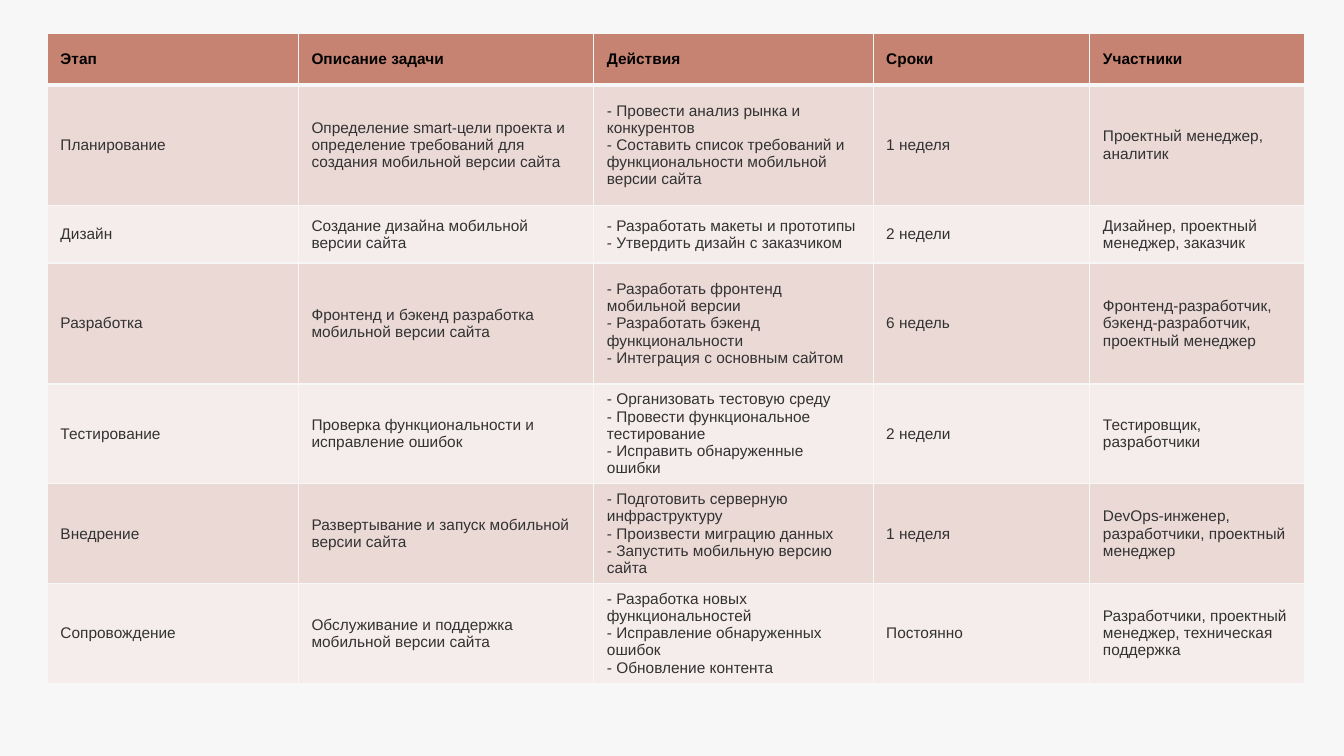
import pptx
import pptx.dml.color
import pptx.enum.text
import pptx.oxml
import pptx.oxml.ns
import pptx.util

Inches = pptx.util.Inches

PAGE, HEADER, DARK_BAND, LIGHT_BAND = "F7F7F7", "C68372", "EAD9D5", "F5EDEB"
HEADER_TEXT, BODY_TEXT = "000000", "323232"
COLUMN_WIDTHS = [2.49, 2.93, 2.77, 2.15, 2.13]
ROW_HEIGHTS = [0.51, 1.2, 0.57, 1.2, 0.99, 0.99, 0.99]

# A tuple holds the lines of one cell
PLAN = [
    ["Этап", "Описание задачи", "Действия", "Сроки", "Участники"],
    ["Планирование",
     "Определение smart-цели проекта и определение требований для создания мобильной версии сайта",
     ("- Провести анализ рынка и конкурентов",
      "- Составить список требований и функциональности мобильной версии сайта"),
     "1 неделя", "Проектный менеджер, аналитик"],
    ["Дизайн", "Создание дизайна мобильной версии сайта",
     ("- Разработать макеты и прототипы", "- Утвердить дизайн с заказчиком"),
     "2 недели", "Дизайнер, проектный менеджер, заказчик"],
    ["Разработка", "Фронтенд и бэкенд разработка мобильной версии сайта",
     ("- Разработать фронтенд мобильной версии", "- Разработать бэкенд функциональности",
      "- Интеграция с основным сайтом"),
     "6 недель", "Фронтенд-разработчик, бэкенд-разработчик, проектный менеджер"],
    ["Тестирование", "Проверка функциональности и исправление ошибок",
     ("- Организовать тестовую среду", "- Провести функциональное тестирование",
      "- Исправить обнаруженные ошибки"),
     "2 недели", "Тестировщик, разработчики"],
    ["Внедрение", "Развертывание и запуск мобильной версии сайта",
     ("- Подготовить серверную инфраструктуру", "- Произвести миграцию данных",
      "- Запустить мобильную версию сайта"),
     "1 неделя", "DevOps-инженер, разработчики, проектный менеджер"],
    ["Сопровождение", "Обслуживание и поддержка мобильной версии сайта",
     ("- Разработка новых функциональностей", "- Исправление обнаруженных ошибок",
      "- Обновление контента"),
     "Постоянно", "Разработчики, проектный менеджер, техническая поддержка"],
]


def paint(fill, color):
    fill.solid()
    fill.fore_color.rgb = pptx.dml.color.RGBColor.from_string(color)


def add_borders(cell, widths):
    """Draw the cell's edges; widths are points by side, in schema order."""
    properties = cell._tc.get_or_add_tcPr()
    for position, (side, width) in enumerate(widths.items()):
        edge = pptx.oxml.parse_xml(
            f'<a:ln{side} {pptx.oxml.ns.nsdecls("a")} w="{pptx.util.Pt(width)}">'
            f'<a:solidFill><a:srgbClr val="{PAGE}"/></a:solidFill></a:ln{side}>')
        properties.insert(position, edge)


def format_cell(cell, content, row):
    is_header = row == 0
    lines = content if isinstance(content, tuple) else (content,)
    cell.text = "\v".join(lines)
    cell.vertical_anchor = pptx.enum.text.MSO_ANCHOR.MIDDLE
    cell.margin_left = cell.margin_right = Inches(0.13)
    cell.margin_top = cell.margin_bottom = Inches(0.06)
    paint(cell.fill, HEADER if is_header else DARK_BAND if row % 2 else LIGHT_BAND)
    add_borders(cell, {"L": 1, "R": 1, "T": 3 if row == 1 else 1, "B": 3 if is_header else 1})
    font = cell.text_frame.paragraphs[0].font
    font.name, font.size, font.bold = "Arial", pptx.util.Pt(11), is_header
    paint(font.fill, HEADER_TEXT if is_header else BODY_TEXT)


def add_plan_table(page, left, top):
    frame = page.shapes.add_table(
        len(ROW_HEIGHTS), len(COLUMN_WIDTHS), Inches(left), Inches(top),
        Inches(sum(COLUMN_WIDTHS)), Inches(sum(ROW_HEIGHTS)))
    table = frame.table
    table.first_row = True
    table.horz_banding = False
    for column, width in zip(table.columns, COLUMN_WIDTHS):
        column.width = Inches(width)
    for row, height in enumerate(ROW_HEIGHTS):
        table.rows[row].height = Inches(height)
        for column, content in enumerate(PLAN[row]):
            format_cell(table.cell(row, column), content, row)


def main():
    deck = pptx.Presentation()
    deck.slide_width, deck.slide_height = Inches(13.33), Inches(7.5)
    page = deck.slides.add_slide(deck.slide_layouts[6])
    paint(page.background.fill, PAGE)
    add_plan_table(page, left=0.47, top=0.33)
    deck.save("out.pptx")


if __name__ == "__main__":
    main()
